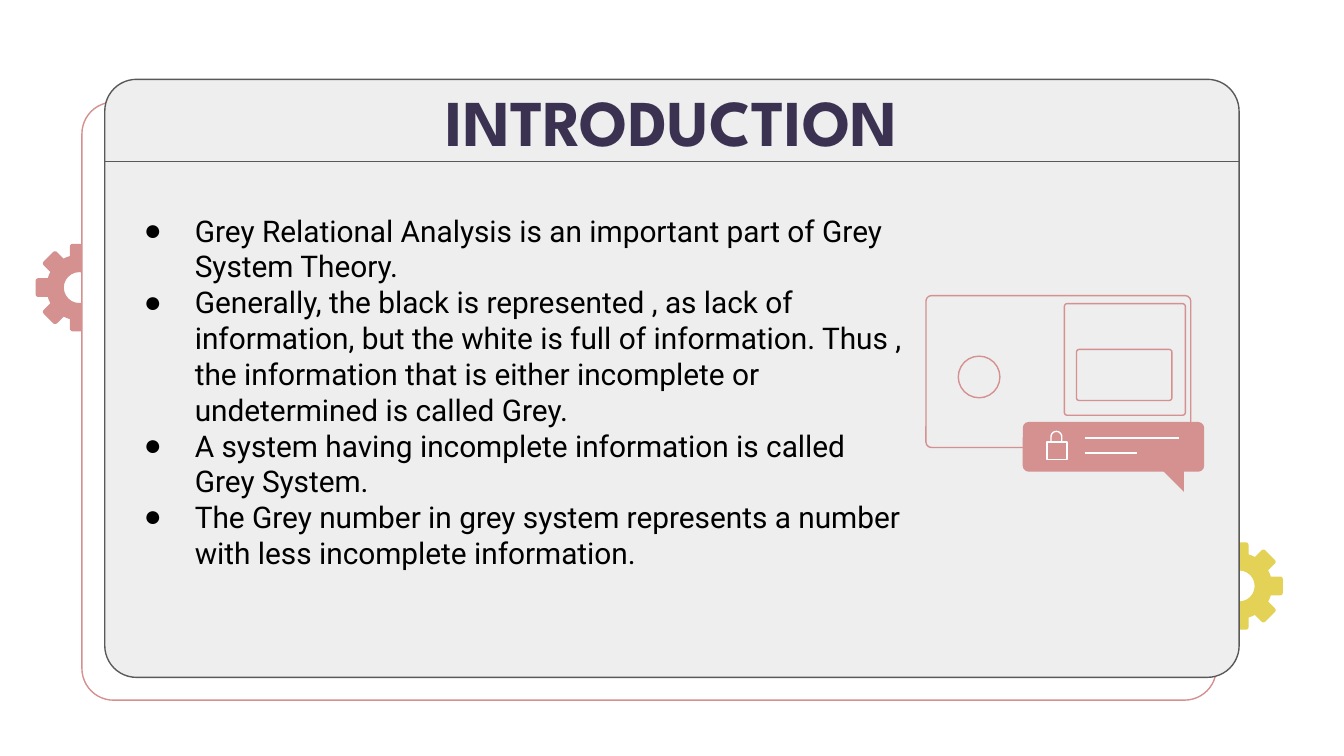
import math

from lxml import etree
from pptx import Presentation
from pptx.dml.color import RGBColor
from pptx.enum.shapes import MSO_CONNECTOR, MSO_SHAPE
from pptx.enum.text import MSO_ANCHOR, PP_ALIGN
from pptx.oxml.ns import qn
from pptx.util import Inches, Pt

ROUNDED = MSO_SHAPE.ROUNDED_RECTANGLE
TOOTH = MSO_SHAPE.ROUND_2_SAME_RECTANGLE
DONUT, OVAL, RECT = MSO_SHAPE.DONUT, MSO_SHAPE.OVAL, MSO_SHAPE.RECTANGLE
STRAIGHT = MSO_CONNECTOR.STRAIGHT
CENTER, LEFT = PP_ALIGN.CENTER, PP_ALIGN.LEFT
MIDDLE, TOP = MSO_ANCHOR.MIDDLE, MSO_ANCHOR.TOP

COLORS = {"pink": "D59090", "yellow": "E4D256", "white": "FFFFFF", "card": "EEEEEE",
          "border": "595959", "title": "3B3252", "text": "000000"}

TITLE = "INTRODUCTION"
BULLETS = [
    "Grey Relational Analysis is an important part of Grey System Theory.",
    "Generally, the black is represented , as lack of information, but the white is full of "
    "information. Thus , the information that is either incomplete or undetermined is called Grey.",
    "A system having incomplete information is called Grey System.",
    "The Grey number in grey system represents a number with less incomplete information.",
]

# Gears: centre x, centre y, colour, tooth angles clockwise from the top
GEARS = [
    (0.59, 2.14, "pink", (180, 225, 270, 315, 360)),
    (9.22, 4.36, "yellow", (0, 45, 90, 135, 180)),
]
GEAR_SIZE, HOLE_SIZE = 0.49, 0.23
TOOTH_W, TOOTH_H, TOOTH_RADIUS = 0.14, 0.15, 0.25

CARD_X, CARD_Y, CARD_W, CARD_H = 0.78, 0.59, 8.44, 4.45
CARD_SHIFT = 0.17
HEADER_H = 0.61

# Screen frames: left, top, width, height, corner radius
FRAMES = [(6.89, 2.2, 1.97, 1.13, 0.04), (7.92, 2.26, 0.9, 0.83, 0.02), (8.01, 2.6, 0.71, 0.38, 0.02)]
BUBBLE = (7.61, 3.14, 1.35, 0.37)
BUBBLE_TAIL = [(8.61, 3.46), (8.81, 3.66), (8.81, 3.46)]
BUBBLE_LINES = [(8.07, 3.26, 0.7), (8.07, 3.37, 0.39)]
LOCK_BODY = (7.79, 3.29, 0.15, 0.13)
SHACKLE_X, SHACKLE_Y, SHACKLE_R = 7.86, 3.25, 0.04

prs = Presentation()
prs.slide_width = Inches(10)
prs.slide_height = prs.slide_width * 9 // 16
s = prs.slides.add_slide(prs.slide_layouts[6])


def rgb(name):
    return RGBColor.from_string(COLORS[name])


def paint(sp, fill=None, line=None):
    sp.shadow.inherit = False
    if fill:
        sp.fill.solid()
        sp.fill.fore_color.rgb = rgb(fill)
    else:
        sp.fill.background()
    if line:
        sp.line.color.rgb = rgb(line)
        sp.line.width = Pt(0.75)
    else:
        sp.line.fill.background()


def add_shape(kind, box, fill=None, line=None, adj=None):
    sp = s.shapes.add_shape(kind, *map(Inches, box))
    if adj is not None:
        sp.adjustments[0] = adj
    paint(sp, fill, line)
    return sp


def add_path(points, fill=None, line=None, close=True):
    pts = [(Inches(x), Inches(y)) for x, y in points]
    fb = s.shapes.build_freeform(*pts[0])
    fb.add_line_segments(pts[1:], close=close)
    paint(fb.convert_to_shape(), fill, line)


def add_rule(x, y, w, color):
    """Draw a horizontal line."""
    c = s.shapes.add_connector(STRAIGHT, Inches(x), Inches(y), Inches(x + w), Inches(y))
    c.line.color.rgb = rgb(color)
    c.line.width = Pt(0.75)
    etree.SubElement(c._element.spPr, qn("a:effectLst"))


def add_text(box, lines, font, size, color, align, anchor, bold=False):
    tf = s.shapes.add_textbox(*map(Inches, box)).text_frame
    tf.word_wrap = True
    tf.vertical_anchor = anchor
    tf.margin_left = tf.margin_right = tf.margin_top = tf.margin_bottom = 0
    tf.text = "\n".join(lines)
    for p in tf.paragraphs:
        p.alignment = align
        for r in p.runs:
            r.font.name, r.font.size, r.font.bold = font, Pt(size), bold
            r.font.color.rgb = rgb(color)
    return tf


def add_bullet(p):
    pPr = p._p.get_or_add_pPr()
    pPr.set("marL", str(Inches(0.5)))
    pPr.set("indent", str(Inches(-0.38)))
    buClr = etree.SubElement(pPr, qn("a:buClr"))
    etree.SubElement(buClr, qn("a:srgbClr"), val=COLORS["text"])
    etree.SubElement(pPr, qn("a:buFont"), typeface="Arial")
    etree.SubElement(pPr, qn("a:buChar"), char="●")


def add_gear(cx, cy, color, angles):
    half = GEAR_SIZE / 2
    ring = (GEAR_SIZE - HOLE_SIZE) / 2 / GEAR_SIZE
    add_shape(DONUT, (cx - half, cy - half, GEAR_SIZE, GEAR_SIZE), color, adj=ring)
    for angle in angles:
        x = cx + TOOTH_RADIUS * math.sin(math.radians(angle))
        y = cy - TOOTH_RADIUS * math.cos(math.radians(angle))
        box = (x - TOOTH_W / 2, y - TOOTH_H / 2, TOOTH_W, TOOTH_H)
        add_shape(TOOTH, box, color, adj=0.14).rotation = angle % 360


for gear in GEARS:
    add_gear(*gear)

# Card with its offset backing sheet
add_shape(ROUNDED, (CARD_X - CARD_SHIFT, CARD_Y + CARD_SHIFT, CARD_W, CARD_H), "white", "pink", 0.053)
add_shape(ROUNDED, (CARD_X, CARD_Y, CARD_W, CARD_H), "card", "border", 0.053)
add_rule(CARD_X, CARD_Y + HEADER_H, CARD_W, "border")
add_text((CARD_X, CARD_Y, CARD_W, HEADER_H), [TITLE], "League Spartan", 35, "title",
         CENTER, MIDDLE, bold=True)

# Screen illustration
for x, y, w, h, radius in FRAMES:
    add_shape(ROUNDED, (x, y, w, h), line="pink", adj=radius / min(w, h))
add_shape(OVAL, (7.13, 2.65, 0.31, 0.31), line="pink")

# Speech bubble with a padlock
add_shape(ROUNDED, BUBBLE, "pink", adj=0.12)
add_path(BUBBLE_TAIL, "pink")
for x, y, w in BUBBLE_LINES:
    add_rule(x, y, w, "white")
add_shape(RECT, LOCK_BODY, line="white")
arc = [(SHACKLE_X - SHACKLE_R * math.cos(math.radians(a)),
        SHACKLE_Y - SHACKLE_R * math.sin(math.radians(a))) for a in range(0, 181, 15)]
foot = LOCK_BODY[1]
add_path([(SHACKLE_X - SHACKLE_R, foot), *arc, (SHACKLE_X + SHACKLE_R, foot)],
         line="white", close=False)

body = add_text((0.95, 1.58, 5.8, 2.46), BULLETS, "Roboto", 16, "text", LEFT, TOP)
for p in body.paragraphs:
    add_bullet(p)

prs.save("out.pptx")
